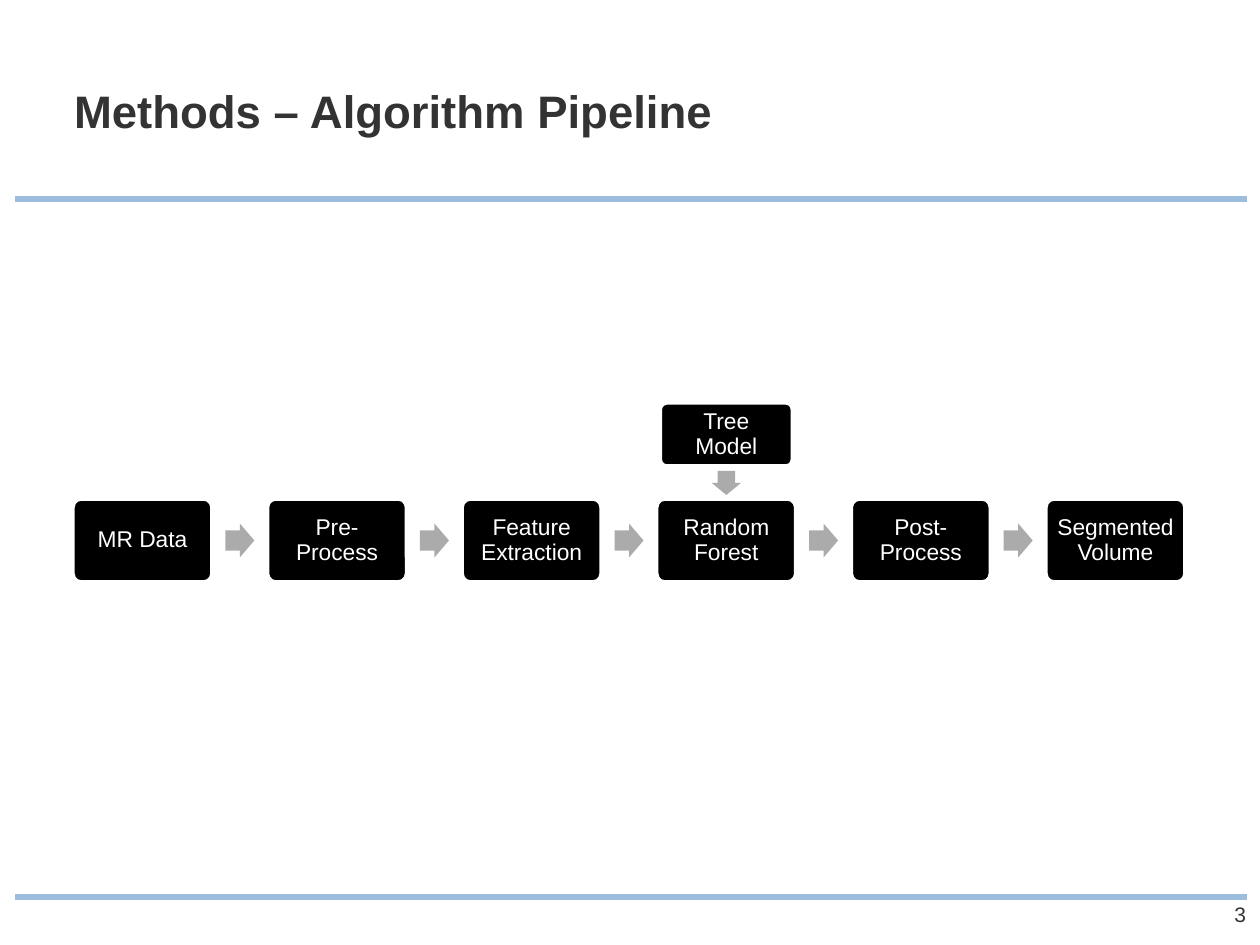
from pptx import Presentation
from pptx.dml.color import RGBColor
from pptx.enum.shapes import MSO_CONNECTOR, MSO_SHAPE
from pptx.enum.text import MSO_ANCHOR, PP_ALIGN
from pptx.oxml.ns import qn
from pptx.util import Pt
from lxml import etree

ROUNDED, ARROW = MSO_SHAPE.ROUNDED_RECTANGLE, MSO_SHAPE.RIGHT_ARROW
STRAIGHT = MSO_CONNECTOR.STRAIGHT
TOP, MIDDLE = MSO_ANCHOR.TOP, MSO_ANCHOR.MIDDLE
LEFT, CENTER, RIGHT = PP_ALIGN.LEFT, PP_ALIGN.CENTER, PP_ALIGN.RIGHT

WHITE = RGBColor(0xFF, 0xFF, 0xFF)
BLACK = RGBColor(0x00, 0x00, 0x00)
INK = RGBColor(0x33, 0x33, 0x33)
GRAY = RGBColor(0xAB, 0xAB, 0xAB)
RULE_BLUE = RGBColor(0x9C, 0xBD, 0xDE)

TITLE = "Methods – Algorithm Pipeline"
PAGE_NUMBER = "3"
STEPS = ["MR Data", "Pre-Process", "Feature Extraction",
         "Random Forest", "Post-Process", "Segmented Volume"]
MODEL, MODEL_TARGET = "Tree Model", "Random Forest"

SLIDE_W, SLIDE_H = 1260, 945
RULE_YS = (199, 897)
RULE_LEFT, RULE_RIGHT = 15, 1247
STEP_W, STEP_H = 139, 83
FIRST_LEFT, LAST_LEFT, STEP_TOP = 73, 1046, 499
STEP_ARROW = (29, 34)
MODEL_W, MODEL_H, MODEL_TOP = 132, 63, 403
MODEL_ARROW, MODEL_ARROW_Y = (24, 29), 483
BOX_INSET = 8


def px(n):
    return round(n * 914400 / 126)


def write(target, text, size, color, bold=False, align=LEFT, anchor=TOP,
          inset=0, spacing=1.0):
    frame = target.text_frame
    frame.word_wrap = True
    frame.vertical_anchor = anchor
    frame.margin_left = frame.margin_right = px(inset)
    frame.margin_top = frame.margin_bottom = px(inset)
    paragraph = frame.paragraphs[0]
    paragraph.alignment = align
    paragraph.line_spacing = spacing
    run = paragraph.add_run()
    run.text = text
    run.font.name, run.font.size, run.font.bold = "Arial", Pt(size), bold
    run.font.color.rgb = color


def add_rule(y):
    rule = slide.shapes.add_connector(
        STRAIGHT, px(RULE_LEFT), px(y), px(RULE_RIGHT), px(y))
    rule.line.color.rgb = RULE_BLUE
    rule.line.width = Pt(3)
    etree.SubElement(rule._element.spPr, qn("a:effectLst"))


def add_box(text, left, top, width, height):
    box = slide.shapes.add_shape(ROUNDED, px(left), px(top), px(width), px(height))
    box.adjustments[0] = 0.1
    box.shadow.inherit = False
    box.fill.solid()
    box.fill.fore_color.rgb = BLACK
    box.line.color.rgb = WHITE
    box.line.width = Pt(2)
    write(box, text, 13, WHITE, align=CENTER, anchor=MIDDLE,
          inset=BOX_INSET, spacing=0.9)


def add_arrow(center_x, center_y, size, rotation=0):
    width, height = size
    arrow = slide.shapes.add_shape(
        ARROW, px(center_x - width / 2), px(center_y - height / 2),
        px(width), px(height))
    arrow.adjustments[0], arrow.adjustments[1] = 0.6, 0.5
    arrow.rotation = rotation
    arrow.shadow.inherit = False
    arrow.fill.solid()
    arrow.fill.fore_color.rgb = GRAY
    arrow.line.fill.background()


deck = Presentation()
deck.slide_width, deck.slide_height = px(SLIDE_W), px(SLIDE_H)
slide = deck.slides.add_slide(deck.slide_layouts[5])

for rule_y in RULE_YS:
    add_rule(rule_y)

title = slide.shapes.title
title.left, title.top, title.width, title.height = px(74), px(89), px(912), px(112)
write(title, TITLE, 26, INK, bold=True, spacing=0.9)

page_number = slide.shapes.add_textbox(px(1197), px(902), px(49), px(25))
write(page_number, PAGE_NUMBER, 12, INK, align=RIGHT)

pitch = (LAST_LEFT - FIRST_LEFT) / (len(STEPS) - 1)
step_middle = STEP_TOP + STEP_H / 2
for index, step in enumerate(STEPS):
    left = FIRST_LEFT + index * pitch
    add_box(step, left, STEP_TOP, STEP_W, STEP_H)
    if index < len(STEPS) - 1:
        add_arrow(left + (STEP_W + pitch) / 2, step_middle, STEP_ARROW)

model_center = FIRST_LEFT + STEPS.index(MODEL_TARGET) * pitch + STEP_W / 2
add_box(MODEL, model_center - MODEL_W / 2, MODEL_TOP, MODEL_W, MODEL_H)
add_arrow(model_center, MODEL_ARROW_Y, MODEL_ARROW, rotation=90)

deck.save("out.pptx")
